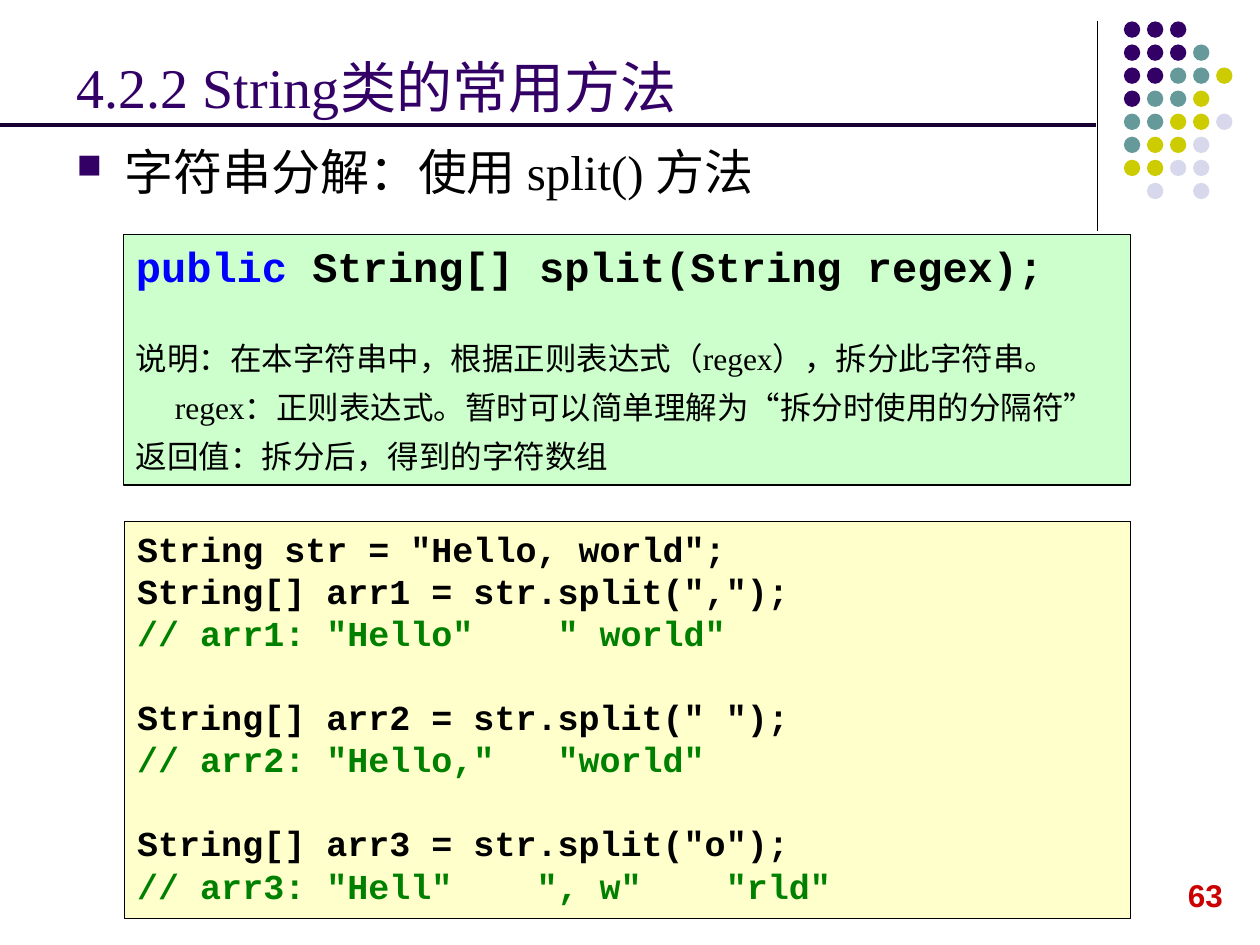
from lxml import etree
from pptx import Presentation
from pptx import util as u
from pptx.dml.color import RGBColor
from pptx.enum import shapes, text
from pptx.oxml import ns

SERIF, MONO, SANS = "Times New Roman", "Courier New", "Arial"
BLACK, PURPLE, GREEN, BLUE = "000000", "330066", "008000", "0000FF"
DOT_COLOURS = {"P": PURPLE, "T": "669999", "Y": "CCCC00", "L": "D8D8EC"}
DOT_ROWS = ["PPP", "PPPT", "PPTTY", "PTTY", "TTYYL", "TYYL", "YYLL", " L L"]
CODE_GROUPS = [
    ['String str = "Hello, world";',
     'String[] arr1 = str.split(",");',
     '// arr1: "Hello"    " world"'],
    ['String[] arr2 = str.split(" ");',
     '// arr2: "Hello,"   "world"'],
    ['String[] arr3 = str.split("o");',
     '// arr3: "Hell"    ", w"    "rld"'],
]
NOTES = [
    ("说明：在本字符串中，根据正则表达式（regex），拆分此字符串。", 0),
    ("regex：正则表达式。暂时可以简单理解为“拆分时使用的分隔符”", 0.31),
    ("返回值：拆分后，得到的字符数组", 0),
]


def colour(value):
    return RGBColor.from_string(value)


def indent(paragraph, first_line, left=0):
    properties = paragraph._p.get_or_add_pPr()
    properties.set("marL", str(u.Inches(left)))
    properties.set("indent", str(u.Inches(first_line)))
    return properties


def add_bullet(paragraph, character, fill, percent):
    properties = indent(paragraph, -0.38, 0.38)
    bullet_colour = etree.SubElement(properties, ns.qn("a:buClr"))
    etree.SubElement(bullet_colour, ns.qn("a:srgbClr"), val=fill)
    etree.SubElement(properties, ns.qn("a:buSzPct"), val=str(percent * 1000))
    etree.SubElement(properties, ns.qn("a:buChar"), char=character)


class SlideBuilder:
    def __init__(self, slide):
        self.slide = slide

    def place(self, shape, left, top, width, height):
        shape.left, shape.top = u.Inches(left), u.Inches(top)
        shape.width, shape.height = u.Inches(width), u.Inches(height)

    def style(self, paragraph, size, font=SERIF, fill=BLACK, bold=False):
        paragraph.alignment = text.PP_ALIGN.LEFT
        paragraph.font.size = u.Pt(size)
        paragraph.font.name = font
        paragraph.font.bold = bold
        paragraph.font.color.rgb = colour(fill)

    def title(self, wording, *box):
        shape = self.slide.shapes.title
        self.place(shape, *box)
        frame = shape.text_frame
        frame.text = wording
        frame.auto_size = text.MSO_AUTO_SIZE.NONE
        frame.vertical_anchor = text.MSO_ANCHOR.BOTTOM
        self.style(frame.paragraphs[0], 32, fill=PURPLE)

    def text_box(self, wording, *box, wrap=True):
        """Add a text box and return its paragraph, ready for styling."""
        shape = self.slide.shapes.add_textbox(*map(u.Inches, box))
        shape.text_frame.word_wrap = wrap
        paragraph = shape.text_frame.paragraphs[0]
        paragraph.text = wording
        return paragraph

    def line(self, start, end, fill, width):
        connector = self.slide.shapes.add_connector(
            shapes.MSO_CONNECTOR.STRAIGHT, *map(u.Inches, start + end))
        connector.line.color.rgb = colour(fill)
        connector.line.width = u.Pt(width)
        etree.SubElement(connector._element.spPr, ns.qn("a:effectLst"))

    def shape(self, kind, fill, *box):
        shape = self.slide.shapes.add_shape(kind, *map(u.Inches, box))
        shape.shadow.inherit = False
        shape.fill.solid()
        shape.fill.fore_color.rgb = colour(fill)
        shape.line.fill.background()
        return shape

    def panel(self, fill, *box, wrap=True):
        """Add an outlined rectangle and return its text frame."""
        shape = self.shape(shapes.MSO_SHAPE.RECTANGLE, fill, *box)
        shape.line.color.rgb = colour(BLACK)
        shape.line.width = u.Pt(0.75)
        frame = shape.text_frame
        frame.word_wrap = wrap
        frame.vertical_anchor = text.MSO_ANCHOR.TOP
        return frame

    def dots(self, left, top, pitch, size):
        for row, marks in enumerate(DOT_ROWS):
            for column, mark in enumerate(marks):
                if mark in DOT_COLOURS:
                    self.shape(shapes.MSO_SHAPE.OVAL, DOT_COLOURS[mark],
                               left + column * pitch, top + row * pitch, size, size)

    def code(self, frame):
        paragraph = frame.paragraphs[0]
        for group_number, group in enumerate(CODE_GROUPS):
            for line_number, wording in enumerate(group):
                if group_number or line_number:
                    paragraph = frame.add_paragraph()
                paragraph.text = wording
                paragraph.line_spacing = u.Pt(24)
                if group_number and not line_number:
                    paragraph.space_before = u.Pt(24)
                fill = GREEN if wording.startswith("//") else BLACK
                self.style(paragraph, 20, MONO, fill, True)

    def signature(self, frame):
        """Write the method signature and the notes below it."""
        paragraph = frame.paragraphs[0]
        keyword = paragraph.add_run()
        keyword.text = "public"
        keyword.font.color.rgb = colour(BLUE)
        paragraph.add_run().text = " String[] split(String regex);"
        self.style(paragraph, 24, MONO, BLACK, True)
        for number, (wording, first_line) in enumerate(NOTES):
            paragraph = frame.add_paragraph()
            paragraph.text = wording
            paragraph.line_spacing = 1.3
            if number == 0:
                paragraph.space_before = u.Pt(21)
            indent(paragraph, first_line)
            self.style(paragraph, 18)


def main():
    presentation = Presentation()
    presentation.slide_width, presentation.slide_height = u.Inches(10), u.Inches(7.5)
    builder = SlideBuilder(presentation.slides.add_slide(presentation.slide_layouts[5]))

    builder.line((8.71, 0.17), (8.71, 1.83), BLACK, 0.75)
    builder.dots(8.92, 0.17, pitch=0.183, size=0.13)
    number = builder.text_box("63", 9.33, 6.9, 0.51, 0.4, wrap=False)
    builder.style(number, 18, SANS, "CC0000", True)

    builder.title("4.2.2 String类的常用方法", 0.51, 0.21, 8.25, 0.79)
    heading = builder.text_box("字符串分解：使用 split() 方法", 0.51, 1.07, 9, 0.65)
    add_bullet(heading, "■", PURPLE, 70)
    builder.style(heading, 28)

    builder.code(builder.panel("FFFFCC", 0.99, 4.14, 7.98, 3.15, wrap=False))
    builder.signature(builder.panel("CCFFCC", 0.98, 1.86, 7.99, 1.99))
    builder.line((0, 0.99), (8.7, 0.99), "190033", 2.25)
    presentation.save("out.pptx")


if __name__ == "__main__":
    main()
